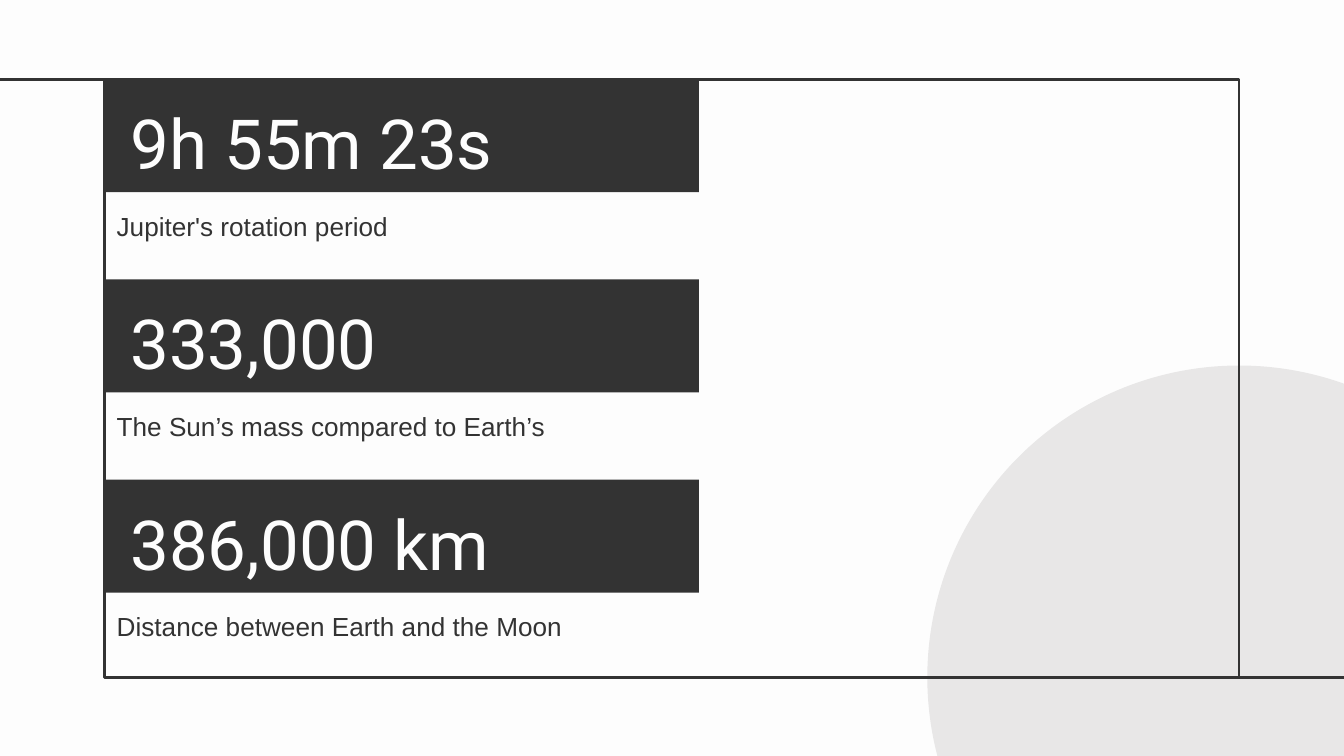
from dataclasses import dataclass

from lxml import etree
from pptx import Presentation
from pptx.dml.color import RGBColor
from pptx.enum.shapes import MSO_CONNECTOR, MSO_SHAPE
from pptx.enum.text import MSO_ANCHOR, MSO_AUTO_SIZE, PP_ALIGN
from pptx.oxml.ns import qn
from pptx.util import Inches, Pt


@dataclass(frozen=True)
class Theme:
    paper: RGBColor = RGBColor.from_string("FDFDFD")
    ink: RGBColor = RGBColor.from_string("333333")
    planet: RGBColor = RGBColor.from_string("E8E7E7")
    figure_font: str = "Roboto"
    caption_font: str = "Arial"
    figure_size: float = 37
    caption_size: float = 14
    line_width: float = 1.5


THEME = Theme()
SLIDE_W = 10
SLIDE_H = SLIDE_W * 9 / 16
FACTS = [
    ("9h 55m 23s", "Jupiter's rotation period"),
    ("333,000", "The Sun’s mass compared to Earth’s"),
    ("386,000 km", "Distance between Earth and the Moon"),
]


def place(sp, left, top, width, height):
    sp.left, sp.top = Inches(left), Inches(top)
    sp.width, sp.height = Inches(width), Inches(height)


def write_text(sp, text, *, font, size, color, inset=0.1, anchor=MSO_ANCHOR.TOP):
    tf = sp.text_frame
    tf.word_wrap = True
    tf.auto_size = MSO_AUTO_SIZE.NONE
    tf.vertical_anchor = anchor
    tf.margin_left = tf.margin_right = Inches(inset)
    tf.margin_top = tf.margin_bottom = Inches(0.1)
    p = tf.paragraphs[0]
    p.alignment = PP_ALIGN.LEFT
    p.line_spacing = 1.15
    p.space_before = Pt(0)
    r = p.add_run()
    r.text = text
    r.font.name = font
    r.font.size = Pt(size)
    r.font.color.rgb = color


def add_planet(slide, left, top, size):
    sp = slide.shapes.add_shape(
        MSO_SHAPE.OVAL, Inches(left), Inches(top), Inches(size), Inches(size))
    sp.shadow.inherit = False
    sp.fill.solid()
    sp.fill.fore_color.rgb = THEME.planet
    sp.line.fill.background()


def add_rule(slide, x1, x2, y):
    line = slide.shapes.add_connector(
        MSO_CONNECTOR.STRAIGHT, Inches(x1), Inches(y), Inches(x2), Inches(y))
    line.line.color.rgb = THEME.ink
    line.line.width = Pt(THEME.line_width)
    etree.SubElement(line._element.spPr, qn("a:effectLst"))


def add_frame(slide, left, top, width, height):
    """Outline whose top and bottom edges run on past the slide edges."""
    sp = slide.shapes.add_shape(
        MSO_SHAPE.RECTANGLE, Inches(left), Inches(top), Inches(width), Inches(height))
    sp.shadow.inherit = False
    sp.fill.background()
    sp.line.color.rgb = THEME.ink
    sp.line.width = Pt(THEME.line_width)
    add_rule(slide, left + width, SLIDE_W + 0.26, top + height)
    add_rule(slide, left, -0.08, top)


def add_fact(slide, figure_box, figure, caption, left, top, width):
    """Dark band with a figure, and its caption below."""
    band_h, caption_h = 0.84, 0.45
    place(figure_box, left, top, width, band_h)
    figure_box.fill.solid()
    figure_box.fill.fore_color.rgb = THEME.ink
    write_text(figure_box, figure, font=THEME.figure_font, size=THEME.figure_size,
               color=THEME.paper, inset=0.2, anchor=MSO_ANCHOR.MIDDLE)
    caption_box = slide.shapes.add_textbox(
        Inches(left), Inches(top + band_h), Inches(width), Inches(caption_h))
    write_text(caption_box, caption, font=THEME.caption_font,
               size=THEME.caption_size, color=THEME.ink)


def add_facts(slide, left, top, width, pitch):
    for i, (figure, caption) in enumerate(FACTS):
        # The first figure is the slide title
        box = slide.shapes.title if i == 0 else slide.shapes.add_textbox(0, 0, 0, 0)
        add_fact(slide, box, figure, caption, left, top + i * pitch, width)


def main():
    prs = Presentation()
    prs.slide_width, prs.slide_height = Inches(SLIDE_W), Inches(SLIDE_H)
    slide = prs.slides.add_slide(prs.slide_layouts[5])
    slide.background.fill.solid()
    slide.background.fill.fore_color.rgb = THEME.paper

    # Backdrop
    add_planet(slide, 6.9, 2.72, 4.64)
    add_frame(slide, 0.78, 0.59, 8.44, 4.45)
    # Content
    add_facts(slide, 0.77, 0.59, 4.43, pitch=1.49)

    prs.save("out.pptx")


if __name__ == "__main__":
    main()
